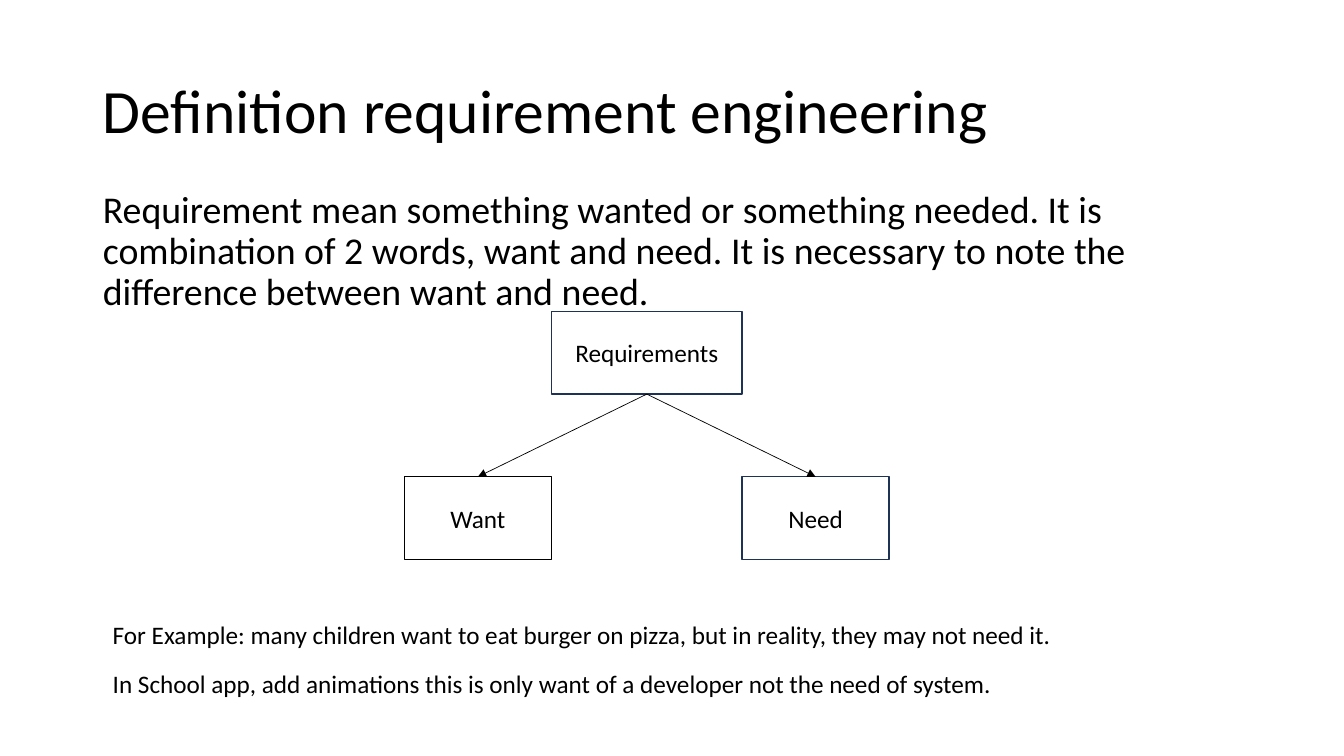
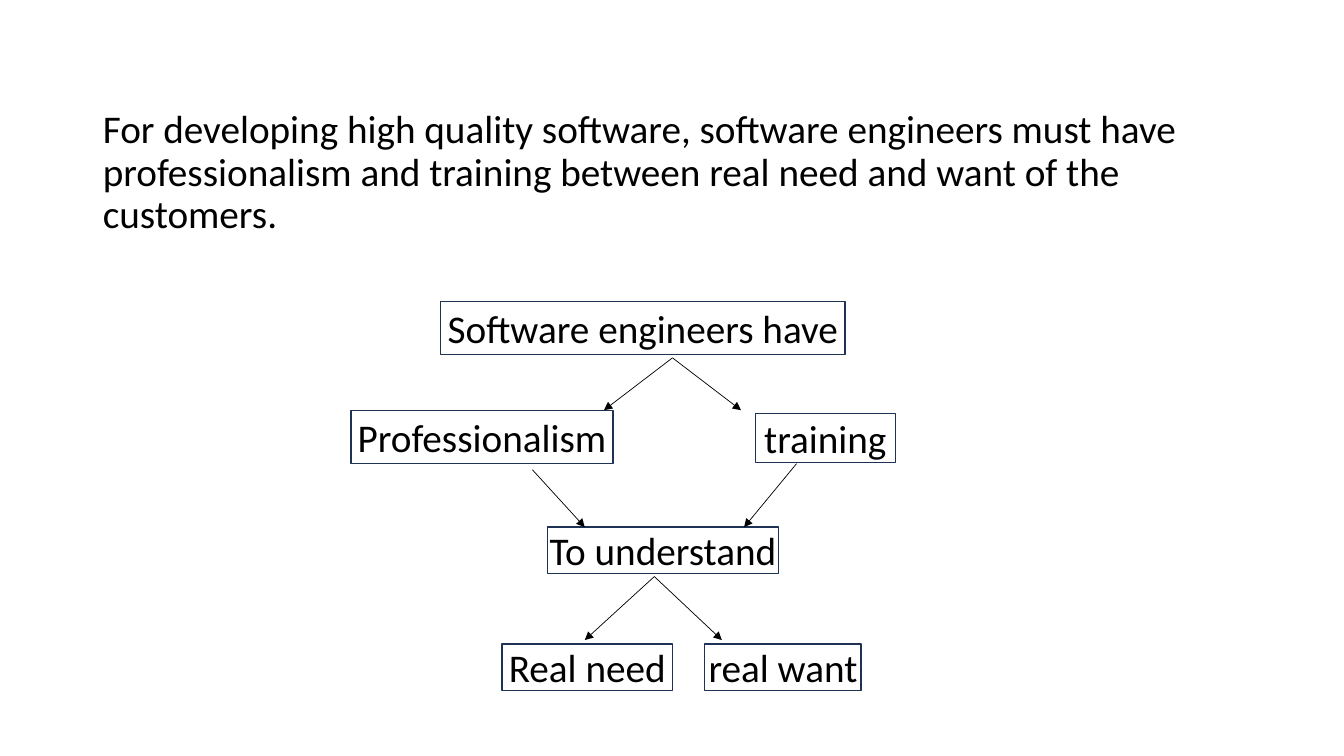
from pptx import Presentation
from pptx.dml.color import RGBColor
from pptx.enum.shapes import MSO_CONNECTOR, MSO_SHAPE
from pptx.enum.text import MSO_ANCHOR, MSO_AUTO_SIZE, PP_ALIGN
from pptx.oxml.ns import qn
from pptx.util import Inches, Pt
from lxml.etree import SubElement

FONT = "Calibri"
BLACK = RGBColor(0x00, 0x00, 0x00)
NAVY = RGBColor(0x1E, 0x32, 0x56)
BOTTOM, TOP = 2, 0
LEFT, WIDTH = 0.92, 11.5


def add_node(s, text, box, size, line=NAVY):
    node = s.shapes.add_shape(MSO_SHAPE.RECTANGLE, *[Inches(v) for v in box])
    node.shadow.inherit = False
    node.fill.background()
    node.line.color.rgb = line
    node.line.width = Pt(1)
    tf = node.text_frame
    tf.word_wrap = False
    tf.margin_left = tf.margin_right = tf.margin_top = tf.margin_bottom = 0
    tf.vertical_anchor = MSO_ANCHOR.MIDDLE
    p = tf.paragraphs[0]
    p.text = text
    p.alignment = PP_ALIGN.CENTER
    p.font.name = FONT
    p.font.size = Pt(size)
    p.font.color.rgb = BLACK
    return node


def add_arrow(s, start=(0, 0), end=(0, 0)):
    arrow = s.shapes.add_connector(
        MSO_CONNECTOR.STRAIGHT, *[Inches(v) for v in (*start, *end)])
    arrow.line.color.rgb = BLACK
    arrow.line.width = Pt(0.5)
    SubElement(arrow.line._get_or_add_ln(), qn("a:tailEnd"), type="triangle")
    SubElement(arrow._element.spPr, qn("a:effectLst"))
    return arrow


prs = Presentation()
prs.slide_width = Inches(13.33)
prs.slide_height = Inches(7.5)
layout = prs.slide_layouts[1]
s1 = prs.slides.add_slide(layout)
s2 = prs.slides.add_slide(layout)
empty_title = s2.shapes.title.element
empty_title.getparent().remove(empty_title)

# Titles and body text: placeholder, top, height, size, anchor, text
placeholders = [
    (s1.shapes.title, 0.4, 1.45, 44, MSO_ANCHOR.MIDDLE,
     "Definition requirement engineering"),
    (s1.placeholders[1], 1.78, 1.45, 27, MSO_ANCHOR.MIDDLE,
     "Requirement mean something wanted or something needed. It is "
     "combination of 2 words, want and need. It is necessary to note the "
     "difference between want and need."),
    (s2.placeholders[1], 1.04, 1.45, 28, MSO_ANCHOR.TOP,
     "For developing high quality software, software engineers must have "
     "professionalism and training between real need and want of the "
     "customers."),
]
for sp, top, height, size, anchor, text in placeholders:
    sp.left, sp.top = Inches(LEFT), Inches(top)
    sp.width, sp.height = Inches(WIDTH), Inches(height)
    tf = sp.text_frame
    tf.auto_size = MSO_AUTO_SIZE.NONE
    tf.vertical_anchor = anchor
    p = tf.paragraphs[0]
    p.text = text
    p.alignment = PP_ALIGN.LEFT
    p.line_spacing = 0.9
    p.space_before = Pt(0)
    p.font.name = FONT
    p.font.size = Pt(size)
    p.font.color.rgb = BLACK
    pPr = p._p.get_or_add_pPr()
    pPr.set("marL", "0")
    pPr.set("indent", "0")
    pPr.insert_element_before(
        pPr.makeelement(qn("a:buNone"), {}), "a:tabLst", "a:defRPr", "a:extLst")

# Slide 1: requirements split into want and need
root = add_node(s1, "Requirements", (5.47, 3.09, 1.89, 0.82), 18)
for text, left, line in [("Need", 7.36, NAVY), ("Want", 4.01, BLACK)]:
    child = add_node(s1, text, (left, 4.73, 1.46, 0.82), 18, line)
    arrow = add_arrow(s1)
    arrow.begin_connect(root, BOTTOM)
    arrow.end_connect(child, TOP)

examples = [
    "For Example: many children want to eat burger on pizza, but in reality, "
    "they may not need it.",
    "In School app, add animations this is only want of a developer not the "
    "need of system.",
]
for i, text in enumerate(examples):
    sp = s1.shapes.add_textbox(
        Inches(1.02), Inches(6.09 + 0.49 * i), Inches(9.64), Inches(0.4))
    sp.text_frame.word_wrap = True
    p = sp.text_frame.paragraphs[0]
    p.text = text
    p.font.name = FONT
    p.font.size = Pt(18)
    p.font.color.rgb = BLACK

# Slide 2: what software engineers have, and what it lets them understand
nodes = [
    ("Software engineers have", (4.37, 2.99, 4.01, 0.53)),
    ("Professionalism", (3.48, 4.07, 2.6, 0.53)),
    ("training", (7.49, 4.1, 1.39, 0.49)),
    ("To understand", (5.43, 5.23, 2.29, 0.46)),
    ("Real need", (4.98, 6.39, 1.69, 0.46)),
    ("real want", (6.99, 6.39, 1.55, 0.46)),
]
for text, box in nodes:
    add_node(s2, text, box, 28)

arrows = [
    ((6.67, 3.55), (5.99, 4.07)),
    ((6.67, 3.55), (7.35, 4.07)),
    ((5.28, 4.66), (5.8, 5.23)),
    ((7.9, 4.6), (7.38, 5.23)),
    ((6.49, 5.72), (5.8, 6.35)),
    ((6.49, 5.72), (7.16, 6.35)),
]
for start, end in arrows:
    add_arrow(s2, start, end)

prs.save("out.pptx")
